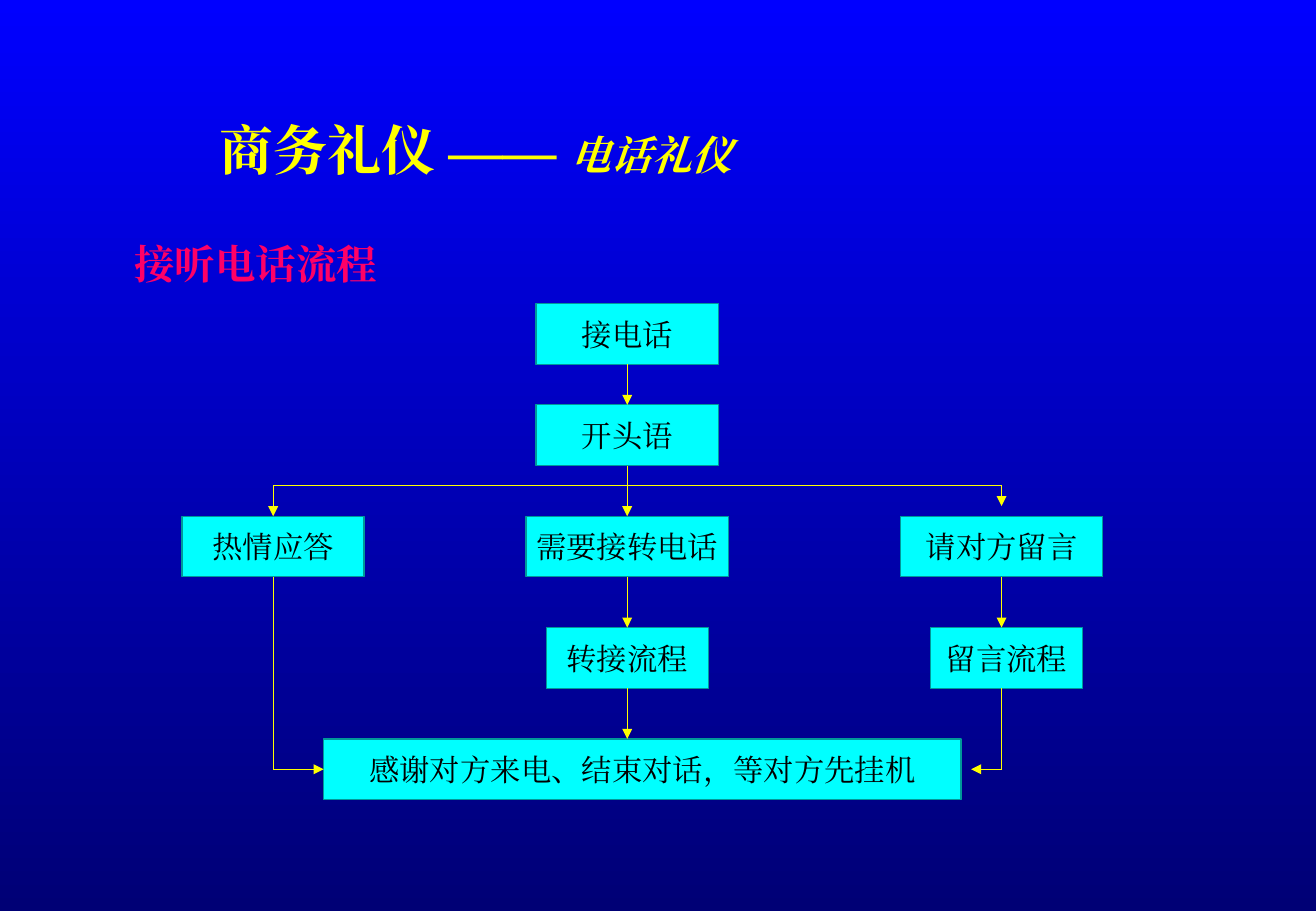
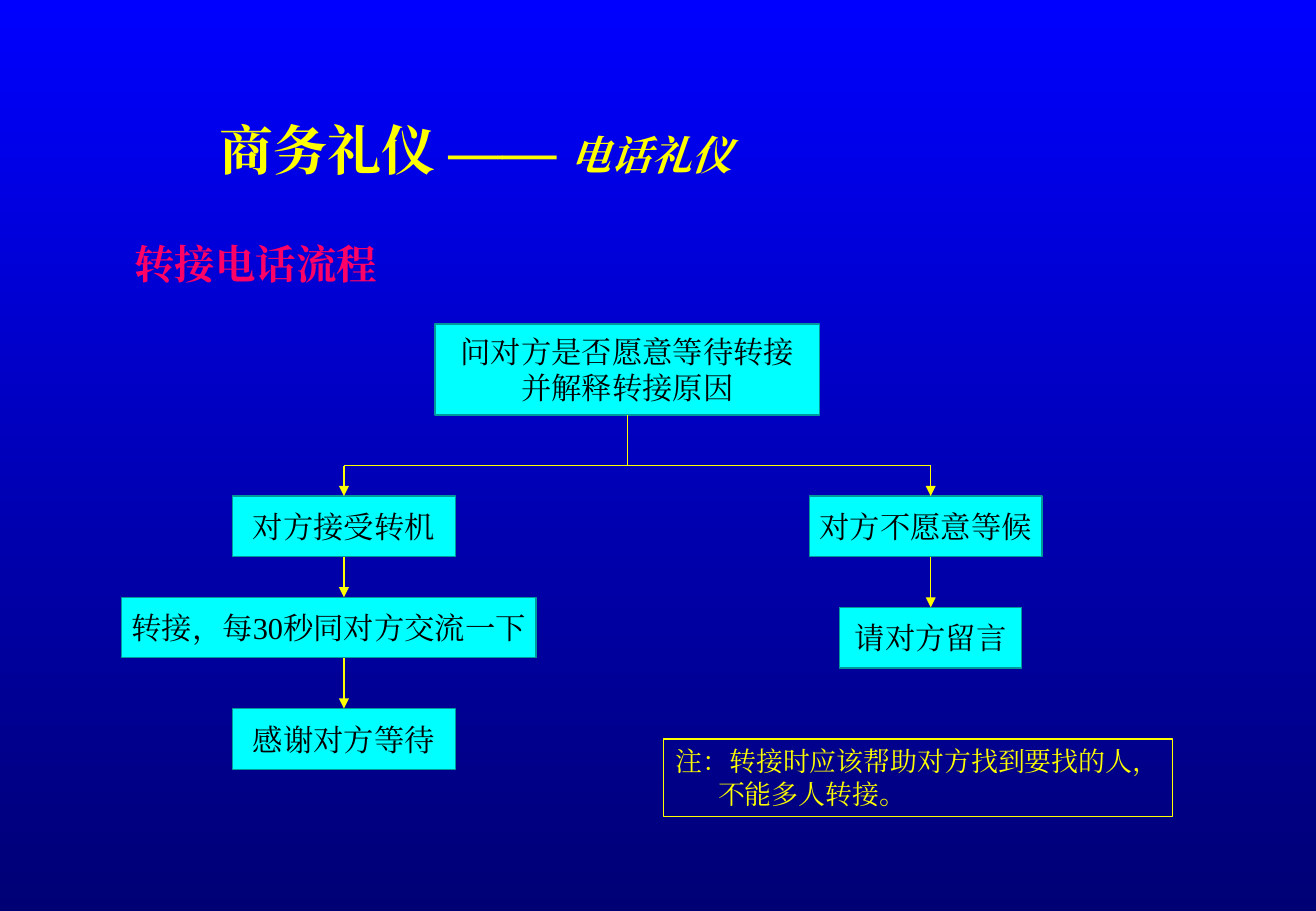
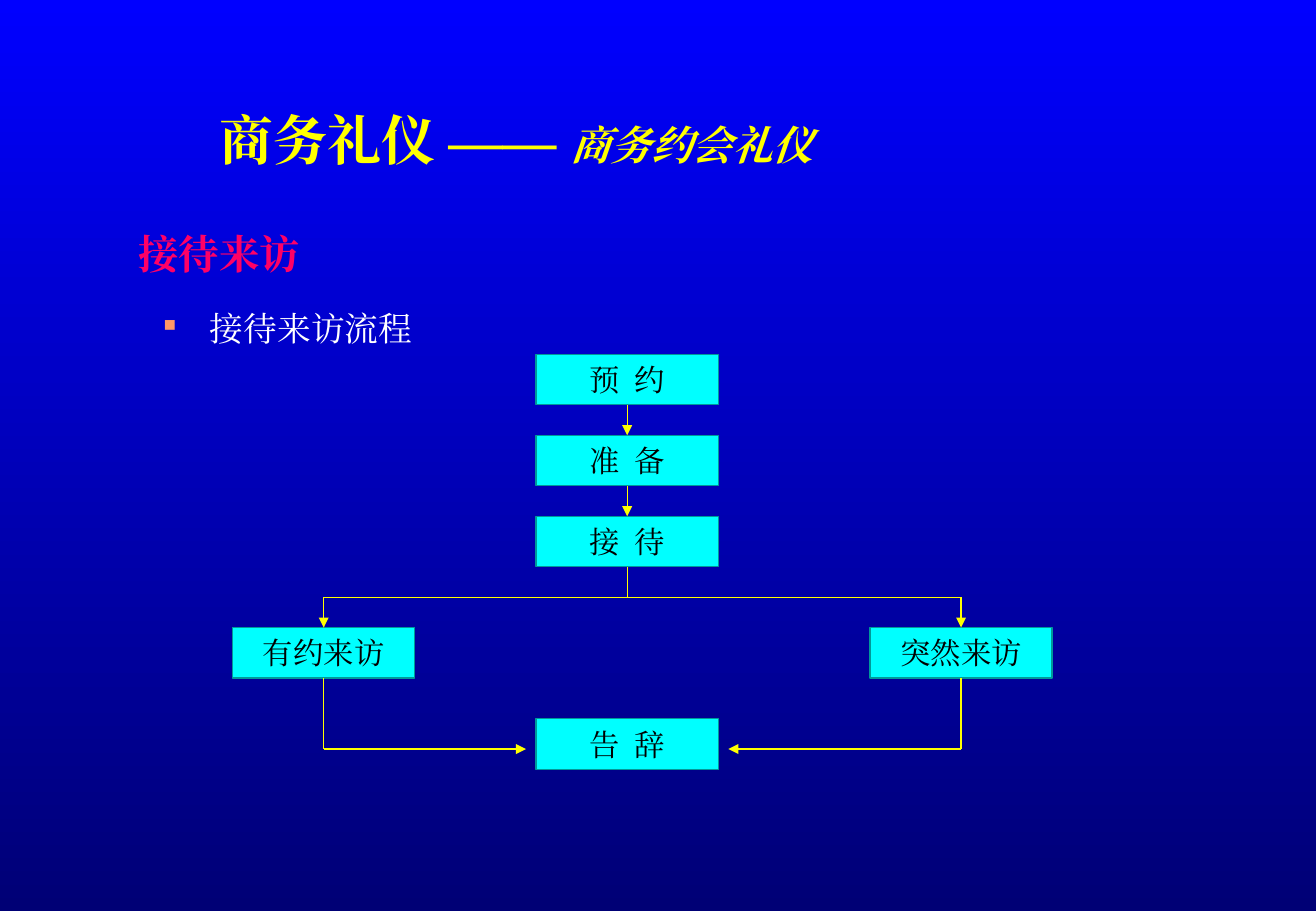
"""Three flow-chart slides on business etiquette: phone calls, transfers and visitors."""
from lxml.etree import SubElement
from pptx import Presentation
from pptx.dml.color import RGBColor
from pptx.enum.shapes import MSO_CONNECTOR, MSO_SHAPE
from pptx.enum.text import MSO_ANCHOR, PP_ALIGN
from pptx.oxml.ns import qn
from pptx.util import Inches, Pt

FONT = "Times New Roman"
YELLOW, PINK, CYAN, TEAL = "FFFF00", "FF0066", "00FFFF", "009999"
BLACK, WHITE, ORANGE = "010000", "FFFFFF", "FF9966"
BLUE, NAVY = "0000FF", "000075"
ROWS = 90
rgb = RGBColor.from_string

presentation = Presentation()
presentation.slide_width, presentation.slide_height = Inches(10.84), Inches(7.5)
unit = presentation.slide_height / ROWS

background = presentation.slide_master.background.fill
background.gradient()
background.gradient_angle = 270
for stop, color in zip(background.gradient_stops, (BLUE, NAVY)):
    stop.color.rgb = rgb(color)


def grid(*cells):
    """Turn columns and rows of the grid into lengths."""
    return [round(cell * unit) for cell in cells]


def write(shape, lines, size, color, align=PP_ALIGN.LEFT, bold=False, wrap=False):
    """Fill a shape with paragraphs, each a list of runs, and return them."""
    frame = shape.text_frame
    frame.word_wrap = wrap
    for index, runs in enumerate(lines):
        paragraph = frame.add_paragraph() if index else frame.paragraphs[0]
        paragraph.alignment = align
        font = paragraph.font
        font.name, font.size, font.bold = FONT, Pt(size), bold
        font.color.rgb = rgb(color)
        SubElement(font._rPr, qn("a:ea"), typeface=FONT)
        for text in runs:
            paragraph.add_run().text = text
    return frame.paragraphs


charts = [
    {
        "title_row": 10, "topic": "电话礼仪",
        "heading": "接听电话流程", "heading_box": (12.1, 23, 26.4, 6),
        "boxes": [
            (53, 30, 18, 6, "接电话"), (53, 40, 18, 6, "开头语"),
            (18, 51, 18, 6, "热情应答"), (52, 51, 20, 6, "需要接转电话"),
            (89, 51, 20, 6, "请对方留言"), (92, 62, 15, 6, "留言流程"),
            (54, 62, 16, 6, "转接流程"),
            (32, 73, 63, 6, "感谢对方来电、结束对话，等对方先挂机"),
        ],
        "stems": [],
        "arrows": [
            [(62, 36), (62, 40)], [(62, 46), (62, 51)],
            [(62, 57), (62, 62)], [(62, 68), (62, 73)],
            [(99, 48), (27, 48), (27, 51)], [(99, 48), (99, 50)],
            [(99, 57), (99, 62)],
            [(27, 57), (27, 76), (32, 76)], [(99, 68), (99, 76), (96, 76)],
        ],
    },
    {
        "title_row": 10, "topic": "电话礼仪",
        "heading": "转接电话流程", "heading_box": (12.1, 23, 26.4, 6),
        "boxes": [
            (43, 32, 38, 9, "问对方是否愿意等待转接\n并解释转接原因"),
            (23, 49, 22, 6, "对方接受转机"), (80, 49, 23, 6, "对方不愿意等候"),
            (83, 60, 18, 6, "请对方留言"),
            (12, 59, 41, 6, "转接，每30秒同对方交流一下"),
            (23, 70, 22, 6, "感谢对方等待"),
        ],
        "stems": [[(62, 41), (62, 46)]],
        "arrows": [
            [(92, 46), (34, 46), (34, 49)], [(92, 46), (92, 49)],
            [(34, 55), (34, 59)], [(34, 65), (34, 70)], [(92, 55), (92, 60)],
        ],
    },
    {
        "title_row": 9, "topic": "商务约会礼仪",
        "heading": "接待来访", "heading_box": (12.5, 22, 18.4, 6),
        "boxes": [
            (53, 35, 18, 5, "预 约"), (53, 43, 18, 5, "准 备"),
            (53, 51, 18, 5, "接 待"), (23, 62, 18, 5, "有约来访"),
            (86, 62, 18, 5, "突然来访"), (53, 71, 18, 5, "告 辞"),
        ],
        "stems": [[(62, 56), (62, 59)]],
        "arrows": [
            [(62, 40), (62, 43)], [(62, 48), (62, 51)],
            [(95, 59), (32, 59), (32, 62)], [(95, 59), (95, 62)],
            [(32, 67), (32, 74), (52, 74)], [(95, 67), (95, 74), (72, 74)],
        ],
    },
]

slides = []
for chart in charts:
    slide = presentation.slides.add_slide(presentation.slide_layouts[6])
    slides.append(slide)

    title = slide.shapes.add_textbox(*grid(20.5, chart["title_row"], 97.5, 11))
    title.text_frame.vertical_anchor = MSO_ANCHOR.MIDDLE
    title_runs = ["商务礼仪 ", "—— ", chart["topic"]]
    paragraph = write(title, [title_runs], 32, YELLOW, bold=True, wrap=True)[0]
    paragraph.line_spacing = 0.7
    _, dash, topic = paragraph.runs
    dash.font.italic = topic.font.italic = True
    topic.font.size = Pt(24)

    heading = slide.shapes.add_textbox(*grid(*chart["heading_box"]))
    write(heading, [[chart["heading"]]], 24, PINK, bold=True)

    for *place, text in chart["boxes"]:
        box = slide.shapes.add_shape(MSO_SHAPE.RECTANGLE, *grid(*place))
        box.shadow.inherit = False
        box.fill.solid()
        box.fill.fore_color.rgb = rgb(CYAN)
        box.line.color.rgb = rgb(TEAL)
        box.line.width = Pt(0.75)
        box.text_frame.vertical_anchor = MSO_ANCHOR.MIDDLE
        lines = [[line] for line in text.split("\n")]
        paragraphs = write(box, lines, 18, BLACK, PP_ALIGN.CENTER)
        if " " in text:
            paragraphs[0].runs[0].font._rPr.set("spc", "225")

    for route in chart["stems"] + chart["arrows"]:
        for start, end in zip(route, route[1:]):
            line = slide.shapes.add_connector(MSO_CONNECTOR.STRAIGHT, *grid(*start, *end))
            line.line.color.rgb = rgb(YELLOW)
            line.line.width = Pt(0.75)
            SubElement(line._element.spPr, qn("a:effectLst"))
            if route in chart["arrows"] and end == route[-1]:
                SubElement(line.line._get_or_add_ln(), qn("a:tailEnd"), type="triangle")

note = slides[1].shapes.add_textbox(*grid(65.6, 73, 50.3, 7.7))
note.line.color.rgb = rgb(YELLOW)
note.line.width = Pt(0.75)
note_lines = [["注：转接时应该帮助对方找到要找的人，"], ["不能多人转接。"]]
last = write(note, note_lines, 16, YELLOW)[-1]
last._p.get_or_add_pPr().set("marL", str(Inches(0.35)))

body = slides[2].shapes.add_textbox(*grid(15, 29, 106, 58))
item = write(body, [["接待来访流程"]], 20, WHITE, PP_ALIGN.JUSTIFY, wrap=True)[0]
item.line_spacing, item.space_before = 1.2, Pt(5)
properties = item._p.get_or_add_pPr()
properties.set("marL", str(Inches(0.38)))
properties.set("indent", str(-Inches(0.38)))
bullet_color = properties.makeelement(qn("a:buClr"))
SubElement(bullet_color, qn("a:srgbClr"), val=ORANGE)
bullet_size = properties.makeelement(qn("a:buSzPct"), val="50000")
bullet = properties.makeelement(qn("a:buChar"), char="■")
for element in (bullet_color, bullet_size, bullet):
    properties.find(qn("a:defRPr")).addprevious(element)

presentation.save("out.pptx")
